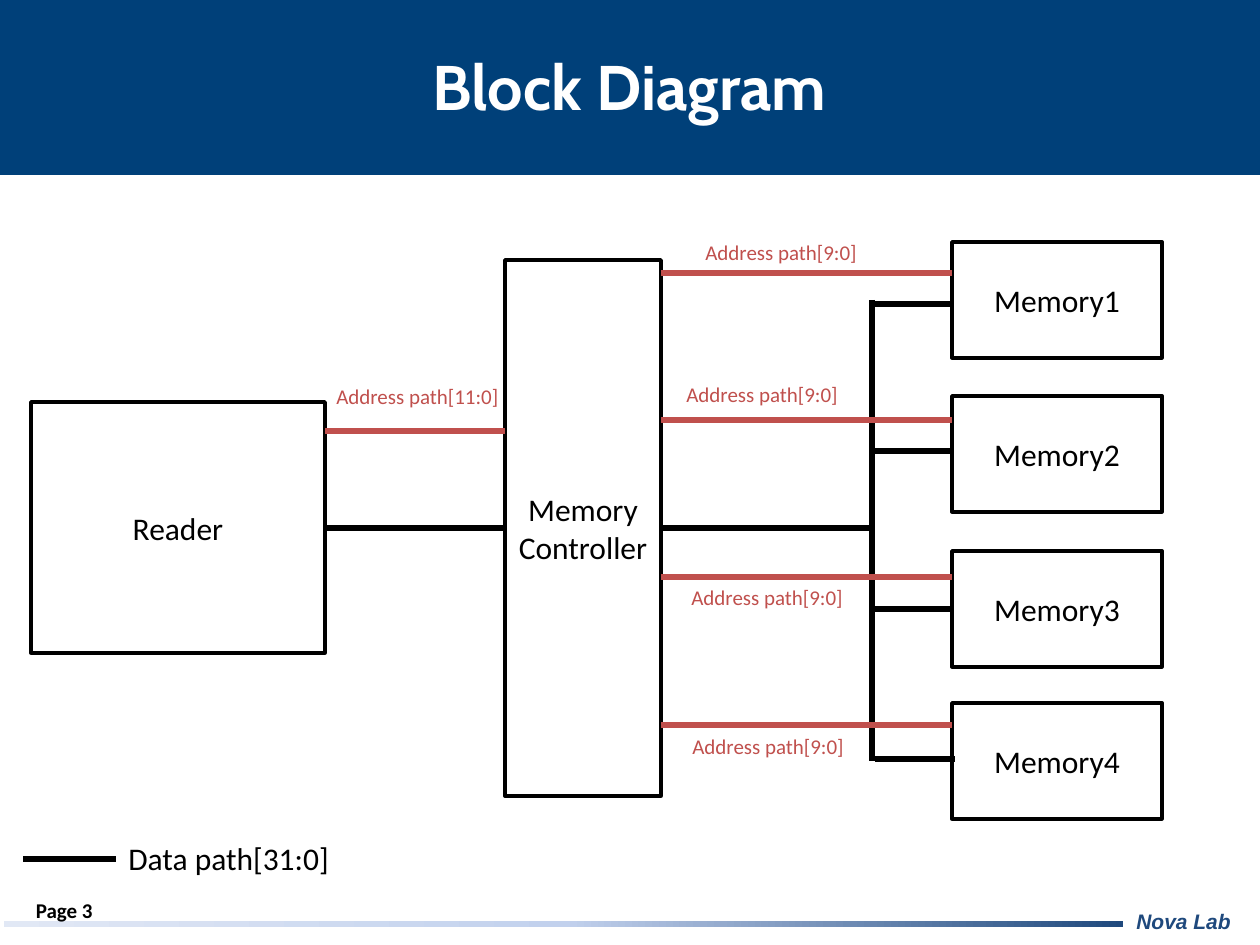
from copy import deepcopy

from pptx import Presentation
from pptx import util as u
from pptx.dml import color
from pptx.enum import shapes, text
from pptx.oxml import ns, xmlchemy

EMU_PER_PX = 914400 / 126
BLACK, RED, WHITE, NAVY = "000000", "C0504D", "FFFFFF", "1F497D"
BODY_FONT = "Calibri"
READER_RIGHT, CONTROLLER_LEFT, CONTROLLER_RIGHT = 325, 505, 661
BUS_X, MEMORY_LEFT = 872, 952


def px(*lengths):
    return [u.Emu(round(length * EMU_PER_PX)) for length in lengths]


def rgb(value):
    return color.RGBColor.from_string(value)


def write(frame, words, size, ink, font=BODY_FONT, bold=False, italic=False,
          align=text.PP_ALIGN.LEFT, anchor=text.MSO_ANCHOR.TOP):
    frame.text = words
    frame.vertical_anchor = anchor
    for para in frame.paragraphs:
        para.alignment = align
        for span in para.runs:
            span.font.name = font
            span.font.size = u.Pt(size)
            span.font.bold = bold
            span.font.italic = italic
            span.font.color.rgb = rgb(ink)


def add_label(page, place, words, size, ink, wrap=False, **style):
    box = page.shapes.add_textbox(*px(*place))
    box.text_frame.word_wrap = wrap
    write(box.text_frame, words, size, ink, **style)


def add_rect(page, place):
    rect = page.shapes.add_shape(shapes.MSO_SHAPE.RECTANGLE, *px(*place))
    rect.shadow.inherit = False
    rect.line.fill.background()
    return rect


def add_block(page, place, words):
    block = add_rect(page, place)
    block.fill.background()
    block.line.color.rgb = rgb(BLACK)
    block.line.width = u.Pt(2)
    block.text_frame.word_wrap = True
    write(block.text_frame, words, 18, BLACK, align=text.PP_ALIGN.CENTER,
          anchor=text.MSO_ANCHOR.MIDDLE)


def add_wire(page, start_x, start_y, end_x, end_y, ink=BLACK):
    wire = page.shapes.add_connector(shapes.MSO_CONNECTOR.STRAIGHT,
                                     *px(start_x, start_y, end_x, end_y))
    wire.line.color.rgb = rgb(ink)
    wire.line.width = u.Pt(3)
    wire._element.spPr.append(xmlchemy.OxmlElement("a:effectLst"))


def add_gradient_bar(page, place, inks):
    bar = add_rect(page, place)
    bar.fill.gradient()
    bar.fill.gradient_angle = 0
    stop_list = bar._element.spPr.find(ns.qn("a:gradFill")).find(ns.qn("a:gsLst"))
    while len(stop_list) < len(inks):
        stop_list.append(deepcopy(stop_list[0]))
    for index, (stop, ink) in enumerate(zip(bar.fill.gradient_stops, inks)):
        stop.color.rgb = rgb(ink)
        stop.position = index / (len(inks) - 1)


def add_frame(page):
    banner = add_rect(page, (0, 0, 1261, 175))
    banner.fill.solid()
    banner.fill.fore_color.rgb = rgb("004079")
    add_gradient_bar(page, (4, 921, 1119, 6), ("E1E8F5", "C2D1ED", NAVY))
    add_label(page, (1124, 902, 147, 38), "Nova Lab", 12, NAVY, wrap=True,
              font="Arial", bold=True, italic=True)
    add_label(page, (0, 885, 105, 50), "Page 3", 12, BLACK, wrap=True, bold=True,
              align=text.PP_ALIGN.RIGHT, anchor=text.MSO_ANCHOR.MIDDLE)
    add_label(page, (-1, 0, 1261, 171), "Block Diagram", 36, WHITE, wrap=True,
              font="Cabin", bold=True, align=text.PP_ALIGN.CENTER,
              anchor=text.MSO_ANCHOR.MIDDLE)


def add_blocks(page):
    for number, top in enumerate((242, 396, 551, 703), start=1):
        add_block(page, (MEMORY_LEFT, top, 210, 116), f"Memory{number}")
    add_block(page, (CONTROLLER_LEFT, 260, 156, 536), "Memory\nController")
    add_block(page, (31, 402, 294, 251), "Reader")


def add_data_paths(page):
    add_wire(page, BUS_X, 300, BUS_X, 761)
    for start, end in ((BUS_X, CONTROLLER_RIGHT), (CONTROLLER_LEFT, READER_RIGHT)):
        add_wire(page, start, 528, end, 528)
    for y, shift in ((304, 0), (451, 0), (609, 0), (759, 3)):
        add_wire(page, MEMORY_LEFT + shift, y, BUS_X + shift, y)
    add_wire(page, 116, 859, 23, 859)
    add_label(page, (116, 833, 228, 50), "Data path[31:0]", 18, BLACK)


def add_address_paths(page):
    add_wire(page, CONTROLLER_LEFT, 431, READER_RIGHT, 431, RED)
    add_label(page, (324, 377, 189, 38), "Address path[11:0]", 12, RED)
    for y, left, top in ((273, 693, 233), (420, 674, 375),
                         (577, 679, 578), (725, 680, 727)):
        add_wire(page, MEMORY_LEFT, y, CONTROLLER_RIGHT, y, RED)
        add_label(page, (left, top, 179, 38), "Address path[9:0]", 12, RED)


def main():
    deck = Presentation()
    deck.slide_width, deck.slide_height = px(1260, 945)
    page = deck.slides.add_slide(deck.slide_layouts[6])
    add_frame(page)
    add_blocks(page)
    add_data_paths(page)
    add_address_paths(page)
    deck.save("out.pptx")


if __name__ == "__main__":
    main()
